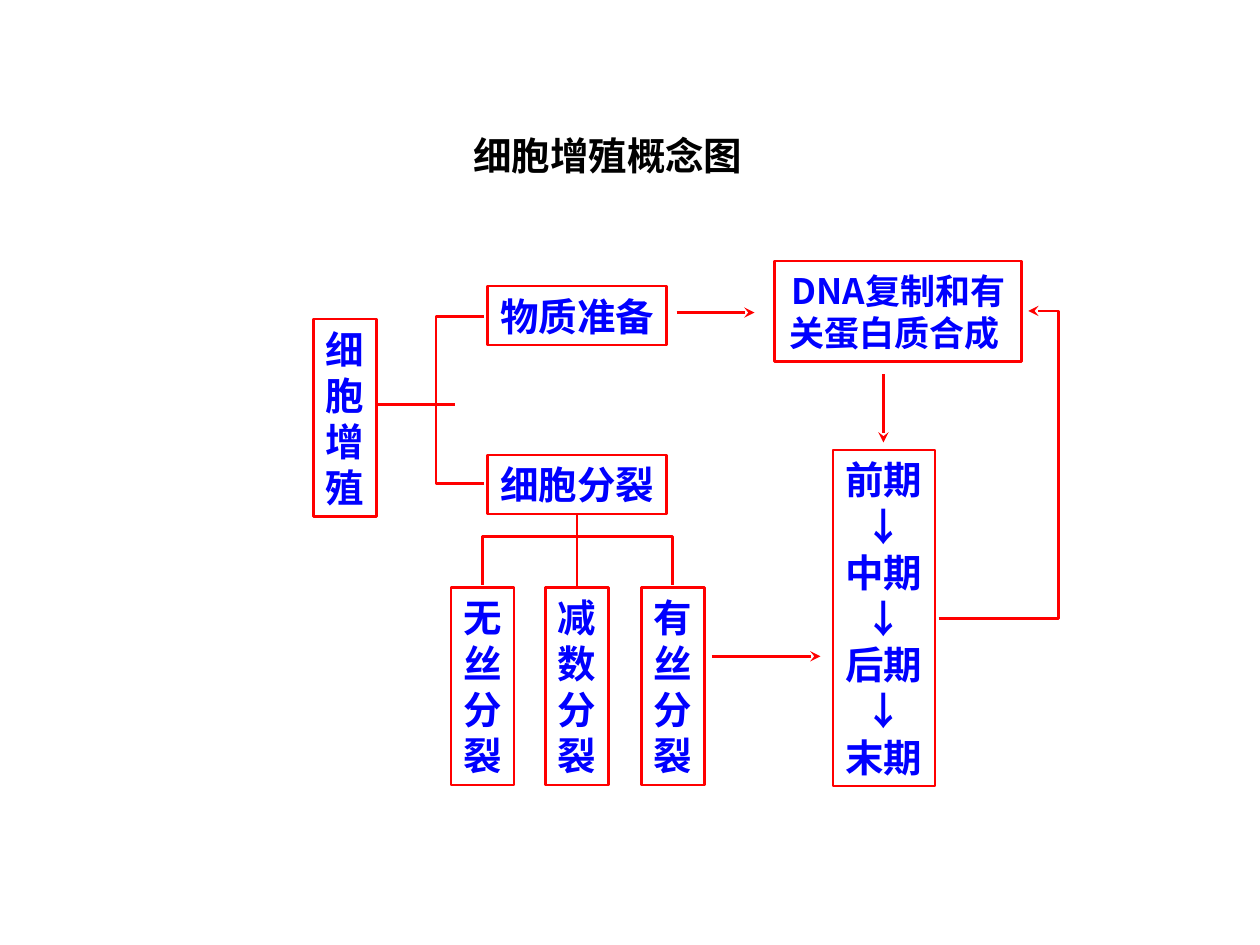
from lxml import etree
from pptx import Presentation
from pptx import util as u
from pptx.dml import color
from pptx.enum import shapes, text
from pptx.oxml import ns

RED, BLUE, BLACK = "FF0000", "0000FF", "000000"


def rgb(value):
    return color.RGBColor.from_string(value)


def add_element(parent, tag, **attributes):
    return etree.SubElement(parent, ns.qn(tag), attributes)


class ConceptMap:
    font = {"name": "Noto Sans CJK SC", "bold": True}
    frame = {
        "vertical_anchor": text.MSO_ANCHOR.MIDDLE,
        "auto_size": text.MSO_AUTO_SIZE.NONE,
    }
    line_width = 1.5
    line_ratio = 1.2

    def __init__(self, page):
        self.page = page

    def label(self, frame, lines, ink, sizes, wrap):
        for key, value in {**self.frame, "word_wrap": wrap}.items():
            setattr(frame, key, value)
        for index, (line, size) in enumerate(zip(lines, sizes)):
            para = frame.add_paragraph() if index else frame.paragraphs[0]
            para.alignment = text.PP_ALIGN.CENTER
            para.line_spacing = u.Pt(size * self.line_ratio)
            span = para.add_run()
            span.text = line
            for key, value in {**self.font, "size": u.Pt(size)}.items():
                setattr(span.font, key, value)
            span.font.color.rgb = rgb(ink)
            add_element(span._r.get_or_add_rPr(), "a:ea", typeface=self.font["name"])

    def title(self, wording, left, top, width, height):
        box = self.page.shapes.title
        place = {"left": left, "top": top, "width": width, "height": height}
        for key, value in place.items():
            setattr(box, key, u.Cm(value))
        self.label(box.text_frame, [wording], BLACK, [22], True)

    def outline(self, shape):
        shape.line.color.rgb = rgb(RED)
        shape.line.width = u.Pt(self.line_width)

    def box(self, lines, left, top, width, height, sizes=None):
        place = [u.Cm(value) for value in (left, top, width, height)]
        box = self.page.shapes.add_shape(shapes.MSO_SHAPE.RECTANGLE, *place)
        box.shadow.inherit = False
        box.fill.background()
        self.outline(box)
        self.label(box.text_frame, lines, BLUE, sizes or [22] * len(lines), False)
        return box

    def bracket(self, *points):
        start, *corners = [(u.Cm(x), u.Cm(y)) for x, y in points]
        builder = self.page.shapes.build_freeform(*start)
        builder.add_line_segments(corners, close=False)
        bracket = builder.convert_to_shape()
        bracket.shadow.inherit = False
        bracket.fill.background()
        self.outline(bracket)

    def line(self, start, end, arrow=False, bend=None):
        kind = shapes.MSO_CONNECTOR.ELBOW if bend else shapes.MSO_CONNECTOR.STRAIGHT
        ends = [u.Cm(value) for value in (*start, *end)]
        line = self.page.shapes.add_connector(kind, *ends)
        self.outline(line)
        if arrow:
            add_element(line.line._get_or_add_ln(), "a:tailEnd", type="stealth")
        properties = line._element.spPr
        if bend:
            guides = properties.find(".//" + ns.qn("a:avLst"))
            add_element(guides, "a:gd", name="adj1", fmla=f"val {round(bend * 100000)}")
        add_element(properties, "a:effectLst")
        return line


def main():
    deck = Presentation()
    deck.slide_width, deck.slide_height = u.Cm(25.4), u.Cm(19.05)
    page = deck.slides.add_slide(deck.slide_layouts[5])
    chart = ConceptMap(page)

    chart.title("细胞增殖概念图", 3.96, 2.54, 16.59, 1.19)
    chart.box("细胞增殖", 6.32, 6.43, 1.27, 3.99)
    chart.box(["物质准备"], 9.83, 5.77, 3.61, 1.19)
    division = chart.box(["细胞分裂"], 9.83, 9.17, 3.61, 1.19)
    amitosis, meiosis, mitosis = [
        chart.box(name, left, 11.84, 1.27, 3.99)
        for name, left in (("无丝分裂", 9.09), ("减数分裂", 11), ("有丝分裂", 12.93))
    ]
    chart.box(["DNA复制和有", "关蛋白质合成 "], 15.62, 5.26, 4.98, 2.03, [20, 20])
    phases = ["前期", "↓", "中期", "↓", "后期", "↓", "末期"]
    chart.box(phases, 16.79, 9.07, 2.06, 6.78)

    chart.bracket((9.75, 6.38), (8.79, 6.38), (8.79, 9.75), (9.75, 9.75))
    chart.line((7.62, 8.15), (9.17, 8.15))
    chart.bracket((9.73, 11.79), (9.73, 10.82), (13.56, 10.82), (13.56, 11.79))
    stem = chart.line((11.64, 10.36), (11.64, 11.84))
    stem.begin_connect(division, 2)
    stem.end_connect(meiosis, 0)

    for start, end in (
        ((14.35, 13.23), (16.54, 13.23)),
        ((13.64, 6.3), (15.21, 6.3)),
        ((17.81, 7.54), (17.81, 8.92)),
    ):
        chart.line(start, end, arrow=True)
    chart.line((18.92, 12.47), (20.73, 6.27), arrow=True, bend=1.34)

    deck.save("out.pptx")


if __name__ == "__main__":
    main()
